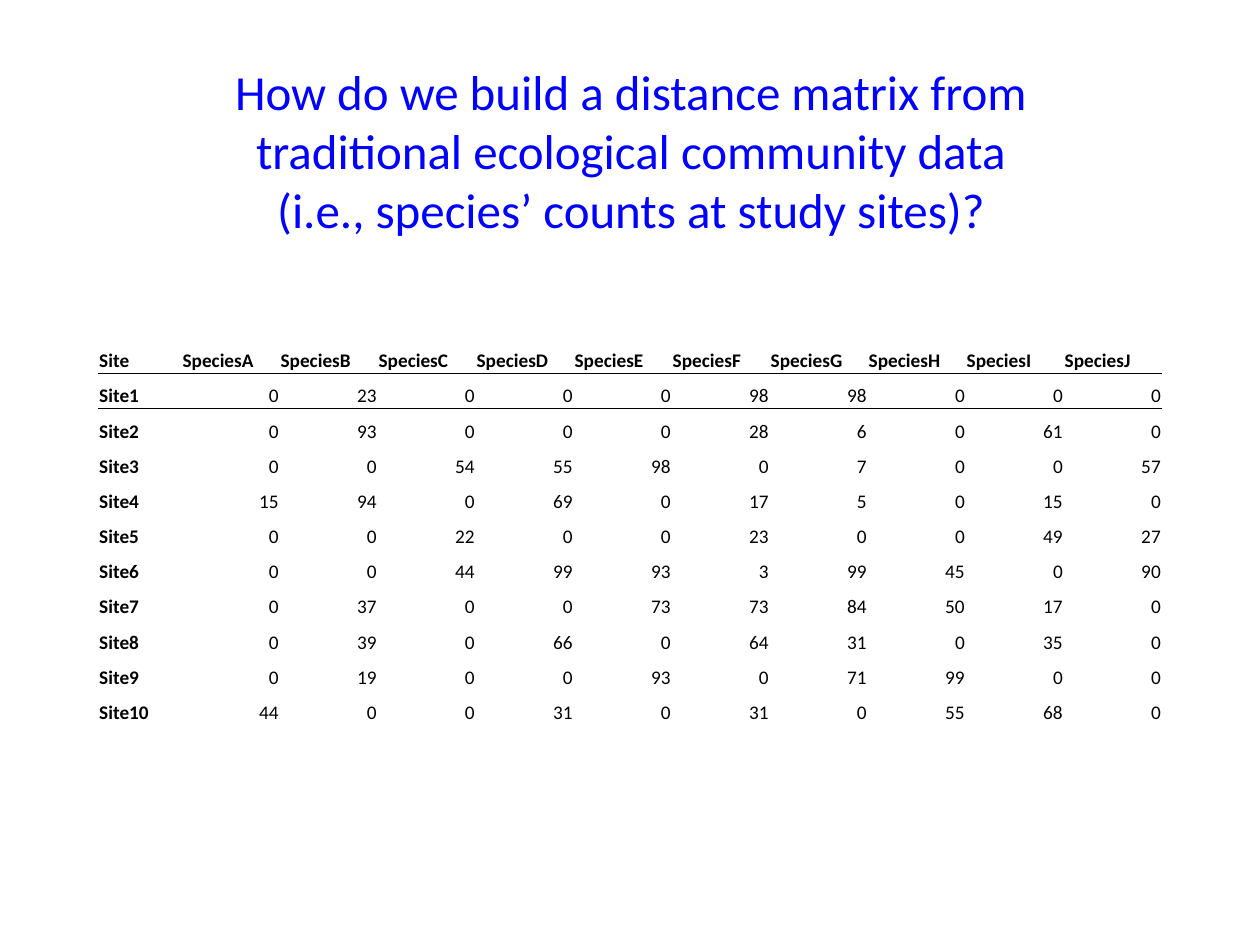
from lxml import etree
from pptx import Presentation
from pptx.dml.color import RGBColor
from pptx.enum.text import MSO_ANCHOR as Anchor, MSO_AUTO_SIZE as AutoSize, PP_ALIGN as Align
from pptx.oxml import parse_xml
from pptx.oxml.ns import nsdecls, qn
from pptx.util import Cm, Pt

TITLE = ("How do we build a distance matrix from traditional ecological "
         "community data (i.e., species’ counts at study sites)?")
HEADER = ["Site"] + [f"Species{letter}" for letter in "ABCDEFGHIJ"]
COUNTS = [
    (0, 23, 0, 0, 0, 98, 98, 0, 0, 0),
    (0, 93, 0, 0, 0, 28, 6, 0, 61, 0),
    (0, 0, 54, 55, 98, 0, 7, 0, 0, 57),
    (15, 94, 0, 69, 0, 17, 5, 0, 15, 0),
    (0, 0, 22, 0, 0, 23, 0, 0, 49, 27),
    (0, 0, 44, 99, 93, 3, 99, 45, 0, 90),
    (0, 37, 0, 0, 73, 73, 84, 50, 17, 0),
    (0, 39, 0, 66, 0, 64, 31, 0, 35, 0),
    (0, 19, 0, 0, 93, 0, 71, 99, 0, 0),
    (44, 0, 0, 31, 0, 31, 0, 55, 68, 0),
]
ROWS = [HEADER] + [[f"Site{n}", *counts] for n, counts in enumerate(COUNTS, 1)]

FONT = "Calibri"
BLUE = RGBColor(0x00, 0x00, 0xFF)
BLACK = RGBColor(0x00, 0x00, 0x00)
NO_STYLE_NO_GRID = "{2D5ABB26-0587-4C30-8999-92F81FD0307C}"

TABLE_LEFT, TABLE_TOP = Cm(1.98), Cm(6.81)
TABLE_WIDTH, TABLE_HEIGHT = Cm(21.44), Cm(7.8)
SITE_WIDTH = Cm(1.68)


def write(tf, text, size, color, bold=False, align=Align.LEFT):
    p = tf.paragraphs[0]
    p.alignment = align
    r = p.add_run()
    r.text = str(text)
    r.font.name, r.font.size, r.font.bold = FONT, Pt(size), bold
    r.font.color.rgb = color


def add_border(cell, side):
    """Draw a thin line on one side of the cell: 'T' or 'B'."""
    cell._tc.get_or_add_tcPr().insert(0, parse_xml(
        f'<a:ln{side} {nsdecls("a")} w="{Pt(0.5)}"><a:solidFill>'
        f'<a:srgbClr val="{BLACK}"/></a:solidFill></a:ln{side}>'))


def add_title(s):
    title = s.shapes.title
    title.left, title.top, title.width, title.height = Cm(4.4), Cm(1.12), Cm(16.63), Cm(3.84)
    tf = title.text_frame
    tf.word_wrap = True
    tf.vertical_anchor = Anchor.TOP
    tf.auto_size = AutoSize.SHAPE_TO_FIT_TEXT
    write(tf, TITLE, 28, BLUE, align=Align.CENTER)


def add_counts_table(s):
    table = s.shapes.add_table(len(ROWS), len(HEADER), TABLE_LEFT, TABLE_TOP,
                               TABLE_WIDTH, TABLE_HEIGHT).table
    table.first_row = table.horz_banding = False
    table._tbl.tblPr.find(qn("a:tableStyleId")).text = NO_STYLE_NO_GRID

    species_width = (TABLE_WIDTH - SITE_WIDTH) // (len(HEADER) - 1)
    for i, column in enumerate(table.columns):
        column.width = species_width if i else SITE_WIDTH

    for i, row in enumerate(ROWS):
        for j, value in enumerate(row):
            cell = table.cell(i, j)
            is_label = i == 0 or j == 0
            cell.margin_left = cell.margin_right = cell.margin_top = Cm(0.02)
            cell.margin_bottom = 0
            cell.vertical_anchor = Anchor.BOTTOM
            cell.fill.background()
            if i < 2:
                add_border(cell, "BT"[i])
            write(cell.text_frame, value, 11, BLACK, bold=is_label,
                  align=Align.LEFT if is_label else Align.RIGHT)


def main():
    prs = Presentation()
    prs.slide_width, prs.slide_height = Cm(25.4), Cm(19.05)
    s = prs.slides.add_slide(prs.slide_layouts[5])
    add_counts_table(s)
    add_title(s)
    prs.save("out.pptx")


if __name__ == "__main__":
    main()
